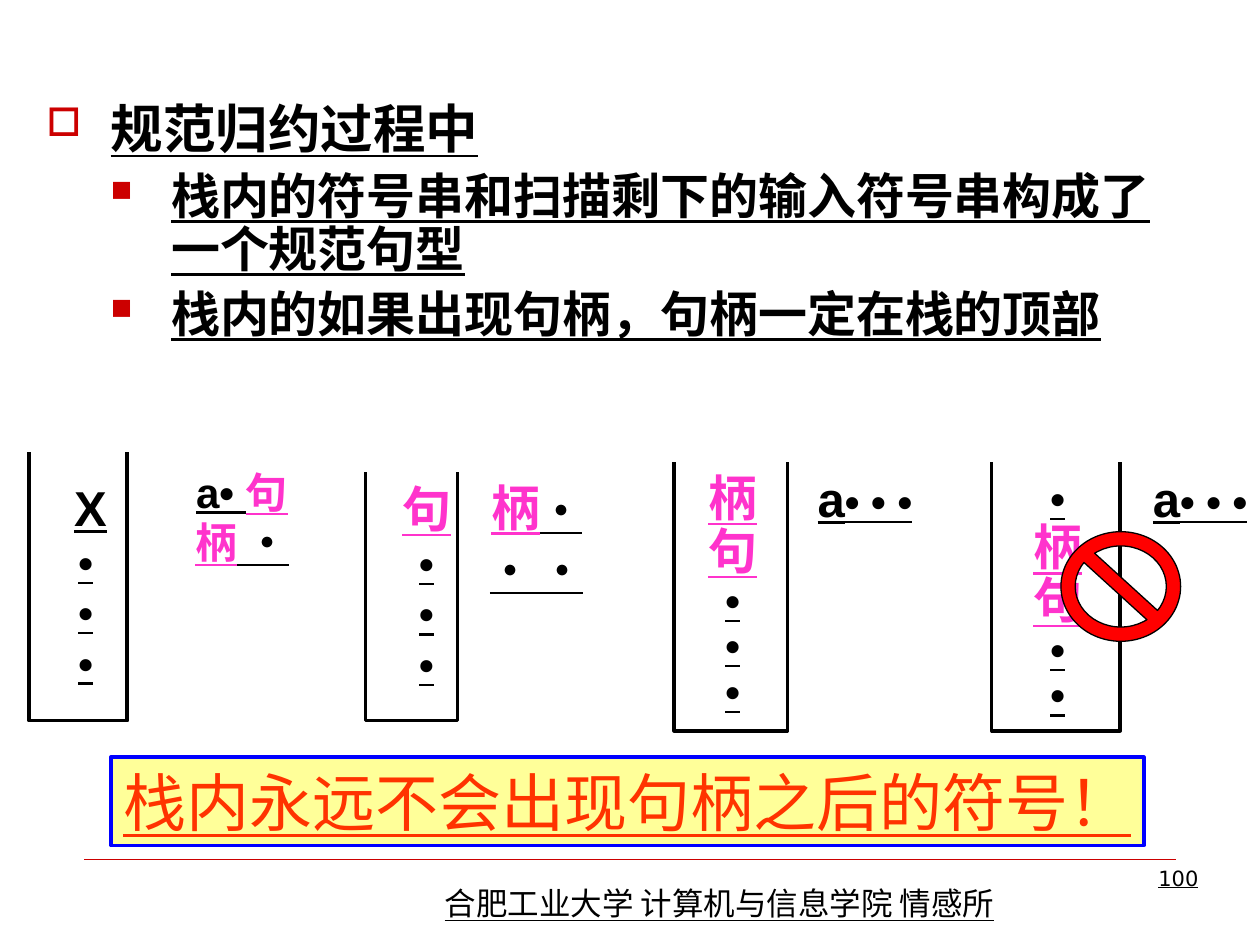
from dataclasses import dataclass

from lxml import etree
from pptx import Presentation
from pptx.dml.color import RGBColor
from pptx.enum.shapes import MSO_CONNECTOR, MSO_SHAPE
from pptx.enum.text import MSO_ANCHOR, PP_ALIGN
from pptx.oxml.ns import qn
from pptx.util import Inches, Pt

LEFT, CENTER, RIGHT = PP_ALIGN.LEFT, PP_ALIGN.CENTER, PP_ALIGN.RIGHT
TOP = MSO_ANCHOR.TOP
STRAIGHT = MSO_CONNECTOR.STRAIGHT
RECTANGLE, NO_SYMBOL = MSO_SHAPE.RECTANGLE, MSO_SHAPE.NO_SYMBOL


@dataclass(frozen=True)
class Theme:
    black: str = "000000"
    pink: str = "FF33CC"
    crimson: str = "CC0000"
    red: str = "FF0000"
    orange: str = "FF3300"
    yellow: str = "FFFF99"
    blue: str = "0000FF"
    title: int = 30
    large: int = 28
    medium: int = 24
    banner: int = 36
    footer: int = 18
    number: int = 12


theme = Theme()


def color(value):
    return RGBColor.from_string(value)


def write(shape, paragraphs, font="Arial", bold=True, align=CENTER, tight=False, wrap=False):
    frame = shape.text_frame
    frame.word_wrap = wrap
    frame.vertical_anchor = TOP
    for index, spans in enumerate(paragraphs):
        para = frame.add_paragraph() if index else frame.paragraphs[0]
        para.alignment = align
        size = max(span_size for _, span_size, _ in spans)
        para.line_spacing = Pt(size * 1.2 * (0.9 if tight else 1))
        for text, span_size, span_color in spans:
            span = para.add_run()
            span.text = text
            span.font.name = font
            span.font.size = Pt(span_size)
            span.font.bold = bold
            span.font.underline = True
            span.font.color.rgb = color(span_color)


deck = Presentation()
deck.slide_width, deck.slide_height = Inches(10), Inches(7.5)
page = deck.slides.add_slide(deck.slide_layouts[6])

rule = page.shapes.add_connector(STRAIGHT, Inches(0.67), Inches(6.82), Inches(9.33), Inches(6.82))
rule.line.color.rgb = color(theme.crimson)
rule.line.width = Pt(0.25)
etree.SubElement(rule._element.spPr, qn("a:effectLst"))

footer = page.shapes.add_textbox(Inches(3.43), Inches(6.97), Inches(4.8), Inches(0.4))
write(footer, [[("合肥工业大学 计算机与信息学院 情感所", theme.footer, theme.black)]],
      font="Noto Sans CJK SC", bold=False, align=LEFT, wrap=True)

outline = [
    ("规范归约过程中", theme.title, 0),
    ("栈内的符号串和扫描剩下的输入符号串构成了一个规范句型", theme.large, 1),
    ("栈内的如果出现句柄，句柄一定在栈的顶部", theme.large, 1),
]
levels = [(0.51, 0.51, "□", "75000"), (0.99, 0.48, "■", "60000")]
body = page.shapes.add_textbox(Inches(0.27), Inches(0.76), Inches(9), Inches(2.2))
write(body, [[(text, size, theme.black)] for text, size, _ in outline],
      font="Times New Roman", align=LEFT, tight=True, wrap=True)
for para, (_, _, level) in zip(body.text_frame.paragraphs, outline):
    margin, hanging, symbol, scale = levels[level]
    para.level = level
    if level:
        para.space_before = Pt(7.1)
    properties = para._p.get_or_add_pPr()
    properties.set("marL", str(Inches(margin)))
    properties.set("indent", str(-Inches(hanging)))
    bullet_color = etree.SubElement(properties, qn("a:buClr"))
    etree.SubElement(bullet_color, qn("a:srgbClr"), val=theme.crimson)
    etree.SubElement(properties, qn("a:buSzPct"), val=scale)
    etree.SubElement(properties, qn("a:buChar"), char=symbol)

dot = [("•", theme.medium, theme.black)]
first = [("句", theme.large, theme.pink)]
second = [("柄", theme.large, theme.pink)]
symbol_x = [("X", theme.large, theme.black)]
remaining = [("a", theme.large, theme.black), ("• • •", theme.medium, theme.black)]
split_input = [("a• ", theme.medium, theme.black), ("句柄", theme.medium, theme.pink),
               (" •", theme.medium, theme.black)]
handle_input = second + [("• • •", theme.medium, theme.black)]

stacks = [
    ((0.23, 3.59, 1.01, 5.72), (0.49, 3.74, 0.38, 1.78), [symbol_x, dot, dot, dot], False,
     (1.15, 3.65, 1.54, 0.5), split_input, True),
    ((2.9, 3.75, 3.63, 5.72), (3.09, 3.75, 0.59, 1.78), [first, dot, dot, dot], False,
     (3.69, 3.74, 1.14, 0.57), handle_input, True),
    ((5.35, 3.67, 6.25, 5.8), (5.52, 3.71, 0.59, 2.04), [second, first, dot, dot, dot], True,
     (6.39, 3.67, 0.95, 0.57), remaining, False),
    ((7.87, 3.67, 8.89, 5.8), (8.1, 3.74, 0.59, 2.04), [dot, second, first, dot, dot], True,
     (9.05, 3.67, 0.95, 0.57), remaining, False),
]
for walls, content_area, content, tight, input_area, input_spans, wrap in stacks:
    group = page.shapes.add_group_shape()
    left, top, right, bottom = map(Inches, walls)
    builder = group.shapes.build_freeform(left, top)
    builder.add_line_segments([(left, bottom), (right, bottom), (right, top)], close=False)
    stack = builder.convert_to_shape()
    stack.shadow.inherit = False
    stack.fill.background()
    stack.line.color.rgb = color(theme.black)
    stack.line.width = Pt(2)
    content_box = group.shapes.add_textbox(*map(Inches, content_area))
    write(content_box, content, tight=tight, wrap=True)
    input_box = group.shapes.add_textbox(*map(Inches, input_area))
    write(input_box, [input_spans], wrap=wrap)

forbidden = page.shapes.add_shape(NO_SYMBOL, Inches(8.42), Inches(4.22), Inches(0.95), Inches(0.87))
forbidden.adjustments[0] = 0.13
banner = page.shapes.add_shape(RECTANGLE, Inches(0.88), Inches(6.01), Inches(8.2), Inches(0.7))
for shape, fill, line, width in [
    (forbidden, theme.red, theme.black, 0.75),
    (banner, theme.yellow, theme.blue, 2),
]:
    shape.shadow.inherit = False
    shape.fill.solid()
    shape.fill.fore_color.rgb = color(fill)
    shape.line.color.rgb = color(line)
    shape.line.width = Pt(width)
write(banner, [[("栈内永远不会出现句柄之后的符号！", theme.banner, theme.orange)]], bold=False)

number = page.shapes.add_textbox(Inches(7.44), Inches(6.82), Inches(2.17), Inches(0.52))
write(number, [[("100", theme.number, theme.black)]],
      font="DejaVu Sans", bold=False, align=RIGHT, wrap=True)

deck.save("out.pptx")
